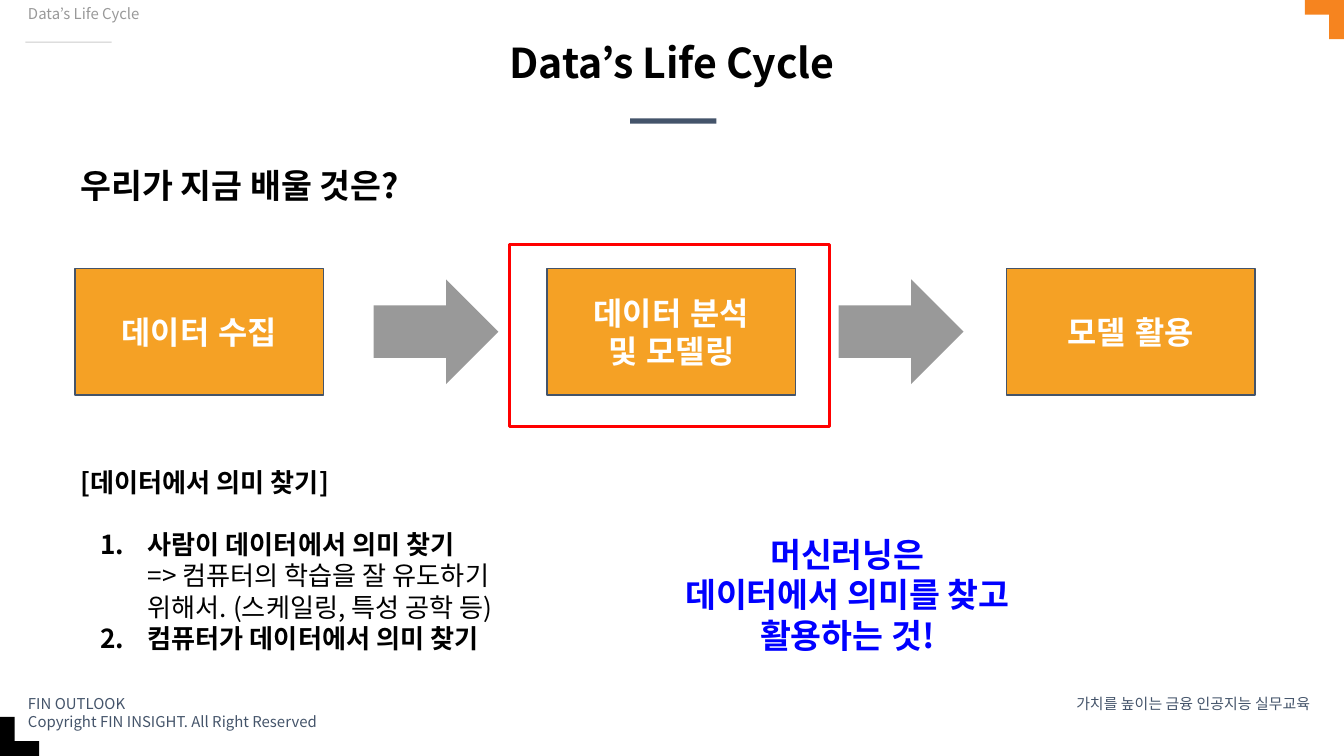
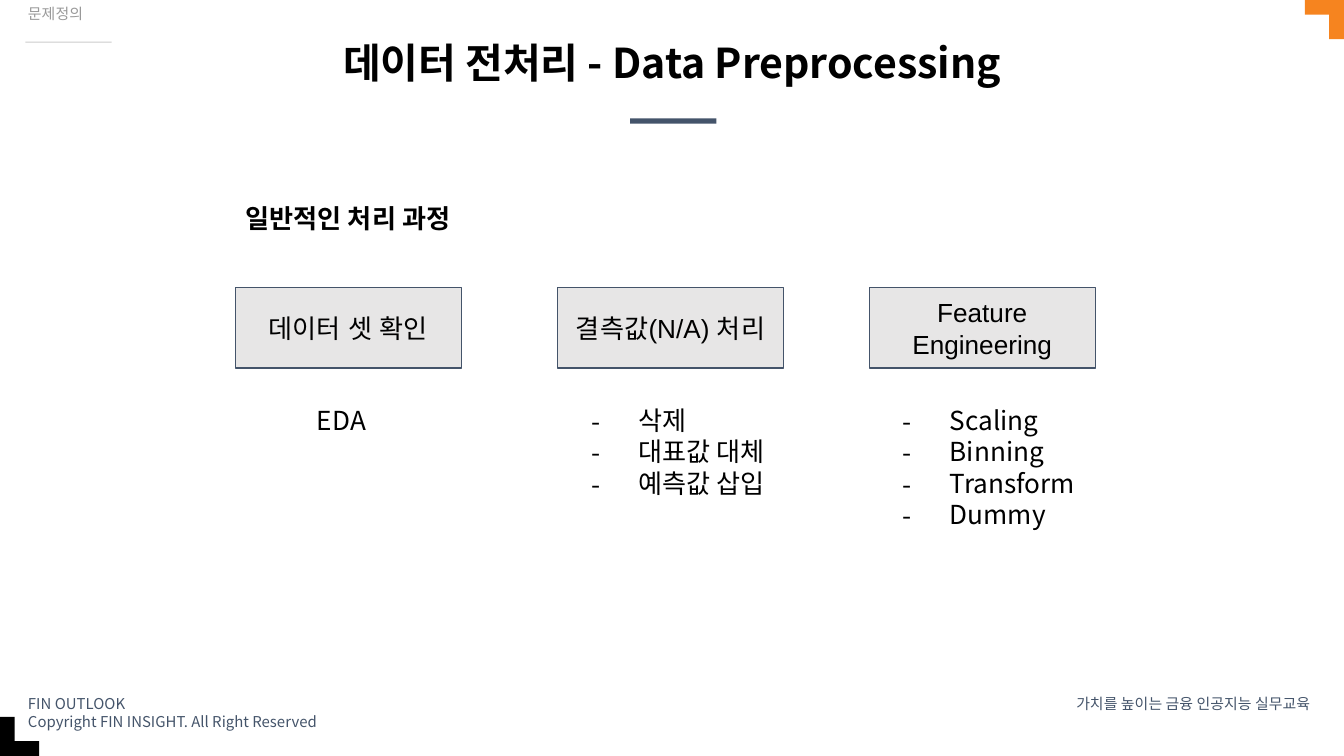
from dataclasses import dataclass, replace
from typing import Optional

from lxml.etree import SubElement
from pptx import Presentation
from pptx.dml.color import RGBColor
from pptx.enum.shapes import MSO_SHAPE as Preset
from pptx.enum.text import MSO_ANCHOR as Anchor, MSO_AUTO_SIZE as AutoSize, PP_ALIGN as Align
from pptx.oxml.ns import qn
from pptx.shapes.autoshape import Shape
from pptx.slide import Slide
from pptx.text.text import TextFrame
from pptx.util import Cm, Pt

BLACK = RGBColor(0x00, 0x00, 0x00)
WHITE = RGBColor(0xFF, 0xFF, 0xFF)
NAVY = RGBColor(0x44, 0x54, 0x6A)
GRAY = RGBColor(0x99, 0x99, 0x99)
RULE_GRAY = RGBColor(0xCC, 0xCC, 0xCC)
PANEL_GRAY = RGBColor(0xE7, 0xE6, 0xE6)
CORNER_ORANGE = RGBColor(0xF6, 0x84, 0x1F)
STEP_ORANGE = RGBColor(0xF5, 0xA1, 0x25)
RED = RGBColor(0xFF, 0x00, 0x00)
BLUE = RGBColor(0x00, 0x00, 0xFF)
NOTO = "Noto Sans CJK KR"
ARIAL = "Arial"
WIDTH, HEIGHT = 25.4, 14.29
CORNER_LENGTH, CORNER_THICKNESS = 0.74, 0.28


@dataclass(frozen=True)
class Area:
    left: float
    top: float
    width: float
    height: float


@dataclass(frozen=True)
class Style:
    size: float
    color: RGBColor = BLACK
    bold: bool = False
    font: str = NOTO
    align: Align = Align.LEFT
    anchor: Anchor = Anchor.TOP
    inset_x: float = 0.25
    inset_y: float = 0.25
    line_spacing: float = 1.0


@dataclass(frozen=True)
class Item:
    text: str
    bold: bool = False
    number: Optional[int] = None
    dash: bool = False
    indent: float = 1.27
    space_before: float = 0


@dataclass(frozen=True)
class Stage:
    text: str
    left: float


TITLE = Style(22, bold=True, align=Align.CENTER, inset_x=0.1, inset_y=0.05, line_spacing=0.9)
SECTION = Style(8, GRAY, inset_y=0.13, line_spacing=0.9)
FOOTER = Style(8, NAVY, inset_y=0.13)
QUESTION = Style(18, bold=True, anchor=Anchor.MIDDLE)
MESSAGE = replace(QUESTION, color=BLUE, align=Align.CENTER)
BODY = Style(14)
CENTERED = replace(BODY, align=Align.CENTER)
SUBHEAD = replace(CENTERED, bold=True)
STEP = Style(17, WHITE, True, ARIAL, Align.CENTER, Anchor.MIDDLE)
PANEL = Style(14, font=ARIAL, align=Align.CENTER, anchor=Anchor.MIDDLE)

CYCLE_STEPS = (
    Stage("데이터 수집", 1.42),
    Stage("데이터 분석\n및 모델링", 10.34),
    Stage("모델 활용", 19.02),
)
CYCLE_ARROW_LEFTS = (7.06, 15.85)
MEANING_ITEMS = (
    Item("[데이터에서 의미 찾기]", bold=True, indent=0),
    Item("사람이 데이터에서 의미 찾기", bold=True, number=1, space_before=16.5),
    Item("=> 컴퓨터의 학습을 잘 유도하기 위해서. (스케일링, 특성 공학 등)"),
    Item("컴퓨터가 데이터에서 의미 찾기", bold=True, number=2),
)
PROCESS_PANELS = (
    Stage("데이터 셋 확인", 4.45),
    Stage("결측값(N/A) 처리", 10.54),
    Stage("Feature\nEngineering", 16.43),
)
PROCESS_LISTS = (
    ("삭제", "대표값 대체", "예측값 삽입"),
    ("Scaling", "Binning", "Transform", "Dummy"),
)


def place(shape: Shape, area: Area) -> None:
    shape.left, shape.top = Cm(area.left), Cm(area.top)
    shape.width, shape.height = Cm(area.width), Cm(area.height)


def write(frame: TextFrame, text: str, style: Style) -> None:
    frame.text = text
    frame.word_wrap = True
    frame.auto_size = AutoSize.NONE
    frame.vertical_anchor = style.anchor
    frame.margin_left = frame.margin_right = Cm(style.inset_x)
    frame.margin_top = frame.margin_bottom = Cm(style.inset_y)
    for paragraph in frame.paragraphs:
        paragraph.alignment = style.align
        paragraph.line_spacing = style.line_spacing
        paragraph.space_before = Pt(0)
        for run in paragraph.runs:
            run.font.name = style.font
            run.font.size = Pt(style.size)
            run.font.bold = style.bold
            run.font.color.rgb = style.color
            SubElement(run.font._element, qn("a:ea"), typeface=style.font)


def add_label(slide: Slide, text: str, area: Area, style: Style) -> None:
    label = slide.shapes.add_textbox(0, 0, 0, 0)
    place(label, area)
    write(label.text_frame, text, style)


def add_block(
    slide: Slide,
    area: Area,
    fill: Optional[RGBColor] = None,
    outline: Optional[RGBColor] = None,
    outline_width: float = 0.75,
    preset: Preset = Preset.RECTANGLE,
) -> Shape:
    block = slide.shapes.add_shape(preset, 0, 0, 0, 0)
    place(block, area)
    block.shadow.inherit = False
    if fill is None:
        block.fill.background()
    else:
        block.fill.solid()
        block.fill.fore_color.rgb = fill
    if outline is None:
        block.line.fill.background()
    else:
        block.line.color.rgb = outline
        block.line.width = Pt(outline_width)
    return block


def add_stages(
    slide: Slide, stages: tuple[Stage, ...], row: Area, fill: RGBColor, style: Style
) -> None:
    for stage in stages:
        block = add_block(slide, replace(row, left=stage.left), fill, NAVY)
        write(block.text_frame, stage.text, style)


def fill_list(body: Shape, area: Area, items: tuple[Item, ...]) -> None:
    place(body, area)
    write(body.text_frame, "\n".join(item.text for item in items), BODY)
    for paragraph, item in zip(body.text_frame.paragraphs, items):
        marked = item.dash or item.number is not None
        properties = paragraph._p.get_or_add_pPr()
        properties.set("marL", str(Cm(item.indent)))
        properties.set("indent", str(Cm(-0.89 if marked else 0)))
        if marked:
            bullet_color = SubElement(properties, qn("a:buClr"))
            SubElement(bullet_color, qn("a:srgbClr"), val=str(BLACK))
            SubElement(properties, qn("a:buFont"), typeface=NOTO)
        if item.dash:
            SubElement(properties, qn("a:buChar"), char="-")
        elif item.number is not None:
            SubElement(
                properties, qn("a:buAutoNum"), type="arabicPeriod", startAt=str(item.number)
            )
        else:
            SubElement(properties, qn("a:buNone"))
        paragraph.space_before = Pt(item.space_before)
        for run in paragraph.runs:
            run.font.bold = item.bold


def add_frame(slide: Slide, title: str, section: str) -> None:
    add_block(slide, Area(11.91, 2.24, 1.63, 0.1), NAVY)
    add_label(slide, "FIN OUTLOOK\nCopyright FIN INSIGHT. All Right Reserved",
              Area(0.28, 13, 7.57, 0.69), FOOTER)
    add_label(slide, "가치를 높이는 금융 인공지능 실무교육",
              Area(19.71, 13, 5.31, 0.43), replace(FOOTER, align=Align.RIGHT))
    add_block(slide, Area(0.48, 0.79, 1.63, 0.02), RULE_GRAY)
    long, thin = CORNER_LENGTH, CORNER_THICKNESS
    add_block(slide, Area(0, HEIGHT - thin, long, thin), BLACK)
    add_block(slide, Area(0, HEIGHT - long, thin, long), BLACK)
    add_block(slide, Area(WIDTH - long, 0, long, thin), CORNER_ORANGE)
    add_block(slide, Area(WIDTH - thin, 0, thin, long), CORNER_ORANGE)
    place(slide.shapes.title, Area(2.77, 0.76, 19.86, 1.02))
    write(slide.shapes.title.text_frame, title, TITLE)
    add_label(slide, section, Area(0.28, 0, 7.21, 1.02), SECTION)


def build_life_cycle(slide: Slide) -> None:
    add_frame(slide, "Data’s Life Cycle", "Data’s Life Cycle")
    add_label(slide, "우리가 지금 배울 것은?", Area(1.27, 2.84, 8.64, 1.32), QUESTION)
    add_label(slide, "머신러닝은\n데이터에서 의미를 찾고\n활용하는 것!",
              Area(10.34, 9.09, 11.35, 4.29), MESSAGE)
    add_block(slide, Area(9.63, 4.62, 6.05, 3.45), outline=RED, outline_width=1.5)
    add_stages(slide, CYCLE_STEPS, Area(0, 5.08, 4.7, 2.39), STEP_ORANGE, STEP)
    for left in CYCLE_ARROW_LEFTS:
        add_block(slide, Area(left, 5.28, 2.36, 1.98), GRAY, preset=Preset.RIGHT_ARROW)
    fill_list(slide.placeholders[1], Area(1.27, 8.56, 8.43, 4.83), MEANING_ITEMS)


def build_preprocessing(slide: Slide) -> None:
    add_frame(slide, "데이터 전처리 - Data Preprocessing", "문제정의")
    add_label(slide, "일반적인 처리 과정", Area(4.04, 3.58, 5.08, 1.27), SUBHEAD)
    add_stages(slide, PROCESS_PANELS, Area(0, 5.44, 4.27, 1.52), PANEL_GRAY, PANEL)
    add_label(slide, "EDA", Area(4.32, 7.39, 4.27, 1.75), CENTERED)
    for index, (panel, entries) in enumerate(zip(PROCESS_PANELS[1:], PROCESS_LISTS), start=1):
        items = tuple(Item(entry, dash=True) for entry in entries)
        fill_list(slide.placeholders[index], Area(panel.left, 7.39, 4.27, 3.75), items)


def main() -> None:
    deck = Presentation()
    deck.slide_width, deck.slide_height = Cm(WIDTH), Cm(HEIGHT)
    single_list, double_list = deck.slide_layouts[1], deck.slide_layouts[3]
    build_life_cycle(deck.slides.add_slide(single_list))
    build_preprocessing(deck.slides.add_slide(double_list))
    deck.save("out.pptx")


if __name__ == "__main__":
    main()
